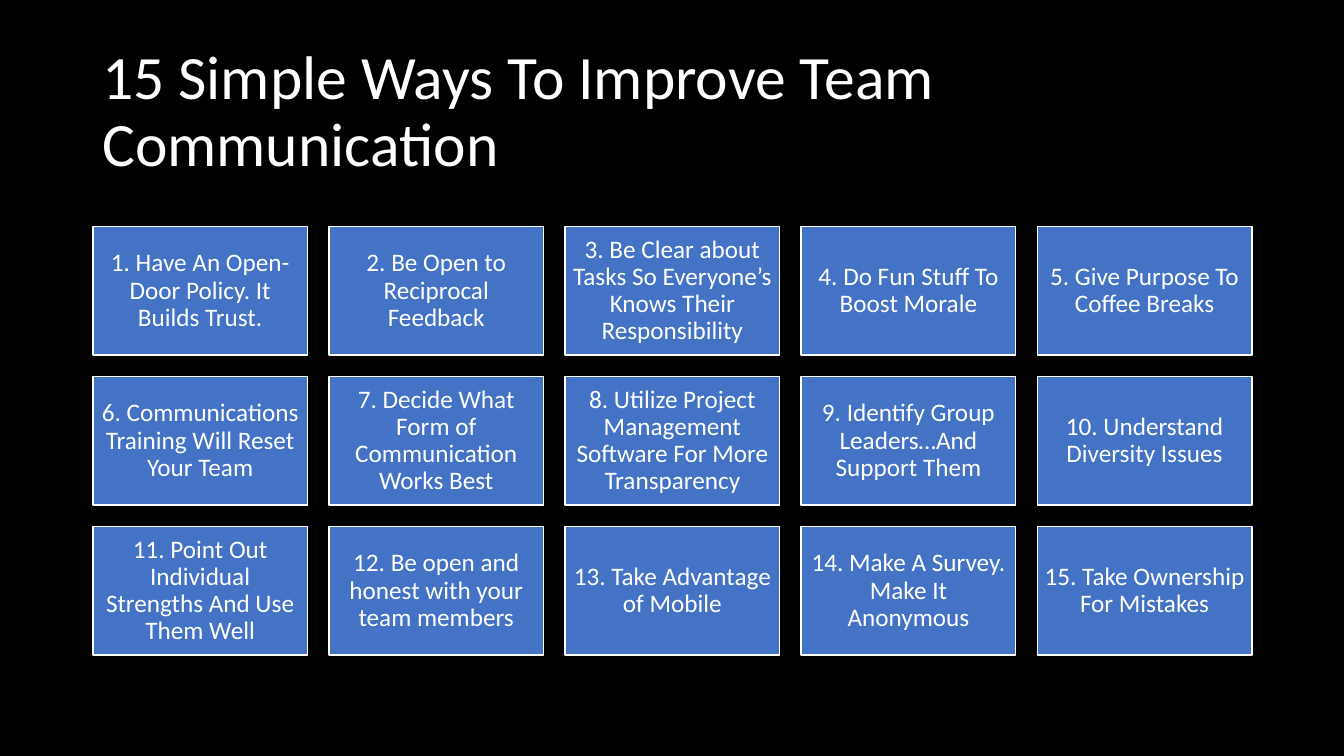
import pptx
import pptx.dml.color
import pptx.enum.shapes
import pptx.enum.text
import pptx.util

Cm = pptx.util.Cm
Pt = pptx.util.Pt
RGBColor = pptx.dml.color.RGBColor
ALIGN = pptx.enum.text.PP_ALIGN

TITLE = "15 Simple Ways To Improve Team\vCommunication"
WAYS = [
    "Have An Open-Door Policy. It Builds Trust.",
    "Be Open to Reciprocal Feedback",
    "Be Clear about Tasks So Everyone’s Knows Their Responsibility",
    "Do Fun Stuff To Boost Morale",
    "Give Purpose To Coffee Breaks",
    "Communications Training Will Reset Your Team",
    "Decide What Form of Communication Works Best",
    "Utilize Project Management Software For More Transparency",
    "Identify Group Leaders…And Support Them",
    "Understand Diversity Issues",
    "Point Out Individual Strengths And Use Them Well",
    "Be open and honest with your team members",
    "Take Advantage of Mobile",
    "Make A Survey. Make It Anonymous",
    "Take Ownership For Mistakes",
]

BLACK = RGBColor(0x00, 0x00, 0x00)
WHITE = RGBColor(0xFF, 0xFF, 0xFF)
BLUE = RGBColor(0x44, 0x72, 0xC4)
FONT = "Calibri"

COLUMNS = 5
GRID_LEFT, GRID_TOP = 2.34, 5.71
TILE_WIDTH, TILE_HEIGHT = 5.41, 3.24
GAP = 0.54
TILE_INSET = Cm(0.18)


def write(shape, text, size, align):
    """Put one white, vertically centred paragraph into the shape."""
    frame = shape.text_frame
    frame.word_wrap = True
    frame.vertical_anchor = pptx.enum.text.MSO_ANCHOR.MIDDLE
    para = frame.paragraphs[0]
    para.text = text
    para.alignment = align
    para.line_spacing = 0.9
    for span in para.runs:
        span.font.name = FONT
        span.font.size = Pt(size)
        span.font.color.rgb = WHITE


def add_tile(page, index, text):
    row, column = divmod(index, COLUMNS)
    tile = page.shapes.add_shape(
        pptx.enum.shapes.MSO_SHAPE.RECTANGLE,
        Cm(GRID_LEFT + column * (TILE_WIDTH + GAP)),
        Cm(GRID_TOP + row * (TILE_HEIGHT + GAP)),
        Cm(TILE_WIDTH), Cm(TILE_HEIGHT))
    tile.shadow.inherit = False
    tile.fill.solid()
    tile.fill.fore_color.rgb = BLUE
    tile.line.color.rgb = WHITE
    tile.line.width = Pt(1)
    frame = tile.text_frame
    frame.margin_left = frame.margin_right = TILE_INSET
    frame.margin_top = frame.margin_bottom = TILE_INSET
    write(tile, f"{index + 1}. {text}", 18, ALIGN.CENTER)


def main():
    deck = pptx.Presentation()
    deck.slide_width, deck.slide_height = Cm(33.87), Cm(19.05)
    page = deck.slides.add_slide(deck.slide_layouts[6])
    page.background.fill.solid()
    page.background.fill.fore_color.rgb = BLACK

    title = page.shapes.add_textbox(Cm(2.33), Cm(1.01), Cm(29.21), Cm(3.68))
    write(title, TITLE, 44, ALIGN.LEFT)
    for index, text in enumerate(WAYS):
        add_tile(page, index, text)

    deck.save("out.pptx")


if __name__ == "__main__":
    main()
